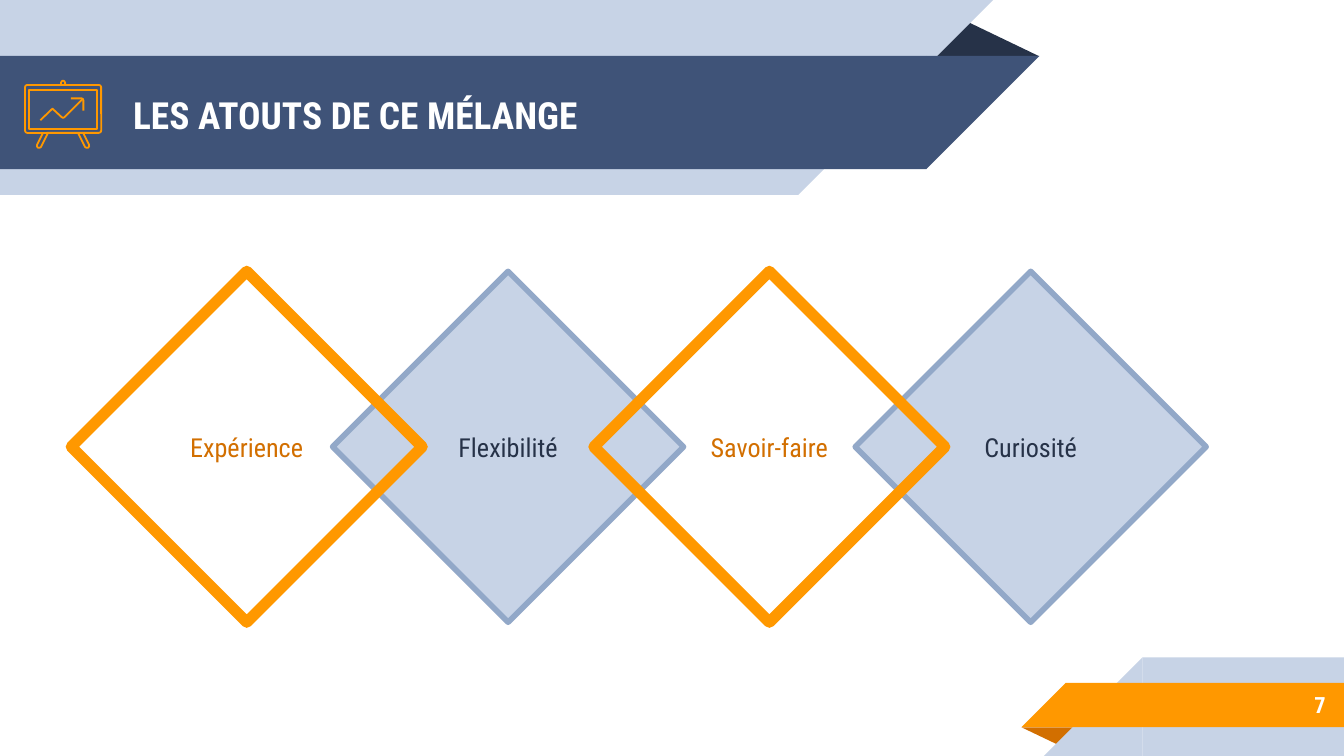
from dataclasses import dataclass

from pptx import Presentation
from pptx import util as u
from pptx.dml import color
from pptx.enum import shapes, text

FONT = "Roboto Condensed"
COLORS = {
    "pale": "C7D3E6", "edge": "92A8C8", "blue": "3F5378", "navy": "263248",
    "orange": "FF9800", "rust": "D26F00", "white": "FFFFFF",
}
KIND = shapes.MSO_SHAPE
ALIGN = text.PP_ALIGN


@dataclass(frozen=True)
class Box:
    left: float
    top: float
    width: float
    height: float

    def lengths(self) -> list:
        return [u.Pt(v) for v in (self.left, self.top, self.width, self.height)]


@dataclass(frozen=True)
class Label:
    words: str
    size: float
    color: str
    align: ALIGN
    bold: bool = False


@dataclass(frozen=True)
class Diamond:
    column: int
    words: str
    ink: str
    edge: str
    weight: float
    fill: str | None = None


def rgb(name: str) -> color.RGBColor:
    return color.RGBColor.from_string(COLORS[name])


def paint(shape, fill: str | None, edge: str | None = None, weight: float = 0) -> None:
    shape.shadow.inherit = False
    if fill:
        shape.fill.solid()
        shape.fill.fore_color.rgb = rgb(fill)
    else:
        shape.fill.background()
    if edge:
        shape.line.color.rgb = rgb(edge)
        shape.line.width = u.Pt(weight)
    else:
        shape.line.fill.background()


def add_preset(page, kind, box: Box, fill: str | None, rotation: float = 0,
               edge: str | None = None, weight: float = 0):
    shape = page.shapes.add_shape(kind, *box.lengths())
    shape.rotation = rotation
    paint(shape, fill, edge, weight)
    return shape


def write(shape, label: Label) -> None:
    frame = shape.text_frame
    frame_format = {"word_wrap": True, "vertical_anchor": text.MSO_ANCHOR.MIDDLE}
    for side in ("left", "top", "right", "bottom"):
        frame_format[f"margin_{side}"] = u.Pt(7.2)
    for name, value in frame_format.items():
        setattr(frame, name, value)
    para = frame.paragraphs[0]
    para.alignment = label.align
    span = para.add_run()
    span.text = label.words
    span_format = {"name": FONT, "size": u.Pt(label.size), "bold": label.bold}
    for name, value in span_format.items():
        setattr(span.font, name, value)
    span.font.color.rgb = rgb(label.color)


def add_label(page, box: Box, label: Label) -> None:
    write(page.shapes.add_textbox(*box.lengths()), label)


def add_ribbon(page, box: Box, fill: str, slant_left: bool) -> None:
    """A band ending in a square right triangle, on its left or right side."""
    add_preset(page, KIND.RECTANGLE, box, fill)
    side = box.height
    left = box.left - side if slant_left else box.left + box.width
    add_preset(page, KIND.RIGHT_TRIANGLE, Box(left, box.top, side, side), fill,
               rotation=270 if slant_left else 90)


def add_fold(page, box: Box, fill: str, rotation: float) -> None:
    fold = add_preset(page, KIND.ISOSCELES_TRIANGLE, box, fill, rotation)
    fold.adjustments[0] = 0.32


def add_stroke(page, points: list[tuple[float, float]]) -> None:
    corners = [(u.Pt(x), u.Pt(y)) for x, y in points]
    builder = page.shapes.build_freeform(*corners[0])
    builder.add_line_segments(corners[1:], close=False)
    paint(builder.convert_to_shape(), None, "orange", 0.96)


def add_diamond(page, item: Diamond) -> None:
    box = Box(38.2 + 140 * item.column, 145.4, 188, 188)
    shape = add_preset(page, KIND.DIAMOND, box, item.fill,
                       edge=item.edge, weight=item.weight)
    write(shape, Label(item.words, 14, item.ink, ALIGN.CENTER))


def add_board_icon(page) -> None:
    frame = add_preset(page, KIND.ROUNDED_RECTANGLE, Box(13.4, 45.5, 40.8, 25.7),
                       None, edge="orange", weight=0.96)
    frame.adjustments[0] = 0.05
    add_preset(page, KIND.RECTANGLE, Box(15.6, 48.1, 36.4, 20.9),
               None, edge="orange", weight=0.96)
    # Hook and the two mirrored legs
    add_stroke(page, [(34.9, 45.4), (34.9, 44.3), (34.4, 43.5), (33.8, 43.2),
                      (33.2, 43.5), (32.7, 44.3), (32.7, 45.4)])
    leg = [(23, 71.3), (19.9, 77.5), (19.8, 78.4), (20.3, 79.1),
           (21.2, 79.2), (22, 78.7), (25.7, 71.3)]
    add_stroke(page, leg)
    add_stroke(page, [(67.6 - x, y) for x, y in leg])
    # Rising line and its arrowhead
    add_stroke(page, [(21.6, 64.4), (28.1, 58.2), (33.1, 62.8), (33.8, 63.2),
                      (34.5, 62.8), (44.2, 53.1)])
    add_stroke(page, [(38, 52.7), (43.9, 52.7), (44.5, 53.1), (44.7, 53.8),
                      (44.7, 59.3)])


DIAMONDS = [
    Diamond(3, "Curiosité", "navy", "edge", 3, "pale"),
    Diamond(1, "Flexibilité", "navy", "edge", 3, "pale"),
    Diamond(0, "Expérience", "rust", "orange", 6),
    Diamond(2, "Savoir-faire", "rust", "orange", 6),
]


def main() -> None:
    deck = Presentation()
    deck.slide_width, deck.slide_height = u.Pt(720), u.Pt(405)
    page = deck.slides.add_slide(deck.slide_layouts[6])

    # Header ribbons
    add_fold(page, Box(495.4, 10.1, 61.2, 20), "navy", 0)
    add_ribbon(page, Box(0, 0, 427.6, 104.4), "pale", slant_left=False)
    add_ribbon(page, Box(0, 30, 496.2, 60.6), "blue", slant_left=False)

    # Footer ribbons
    add_fold(page, Box(547.2, 389.6, 31, 10.1), "rust", 180)
    add_ribbon(page, Box(612, 352.2, 108, 52.8), "pale", slant_left=True)
    add_ribbon(page, Box(571, 365.8, 149, 23.8), "orange", slant_left=True)

    # Title and page number
    add_label(page, Box(64.2, 31, 414, 60.6),
              Label("LES ATOUTS DE CE MÉLANGE", 20, "white", ALIGN.LEFT, True))
    add_label(page, Box(600, 365.2, 117.2, 25),
              Label("7", 12, "white", ALIGN.RIGHT, True))

    # Overlapping diamonds, outlined ones in front
    for item in DIAMONDS:
        add_diamond(page, item)

    add_board_icon(page)
    deck.save("out.pptx")


if __name__ == "__main__":
    main()
